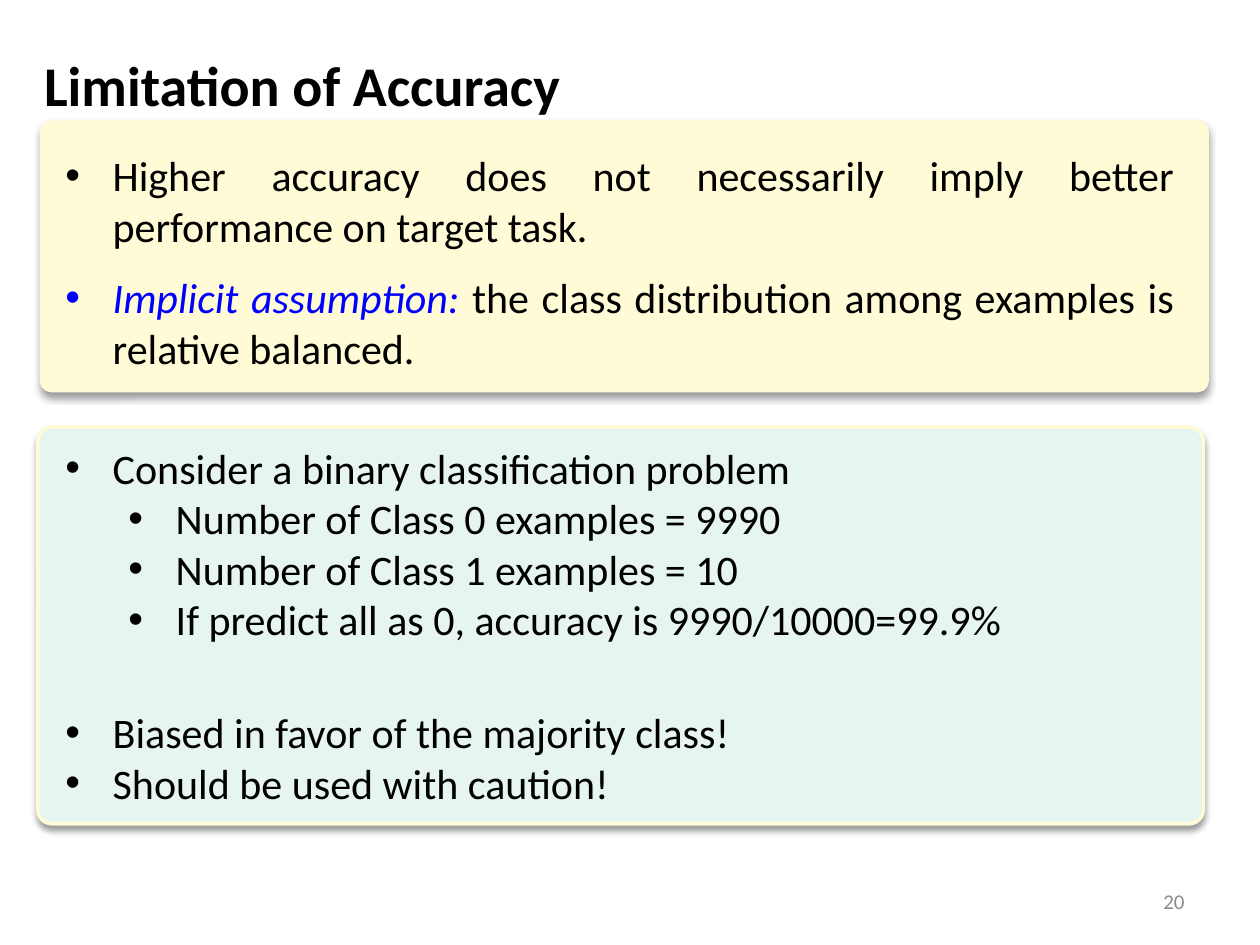
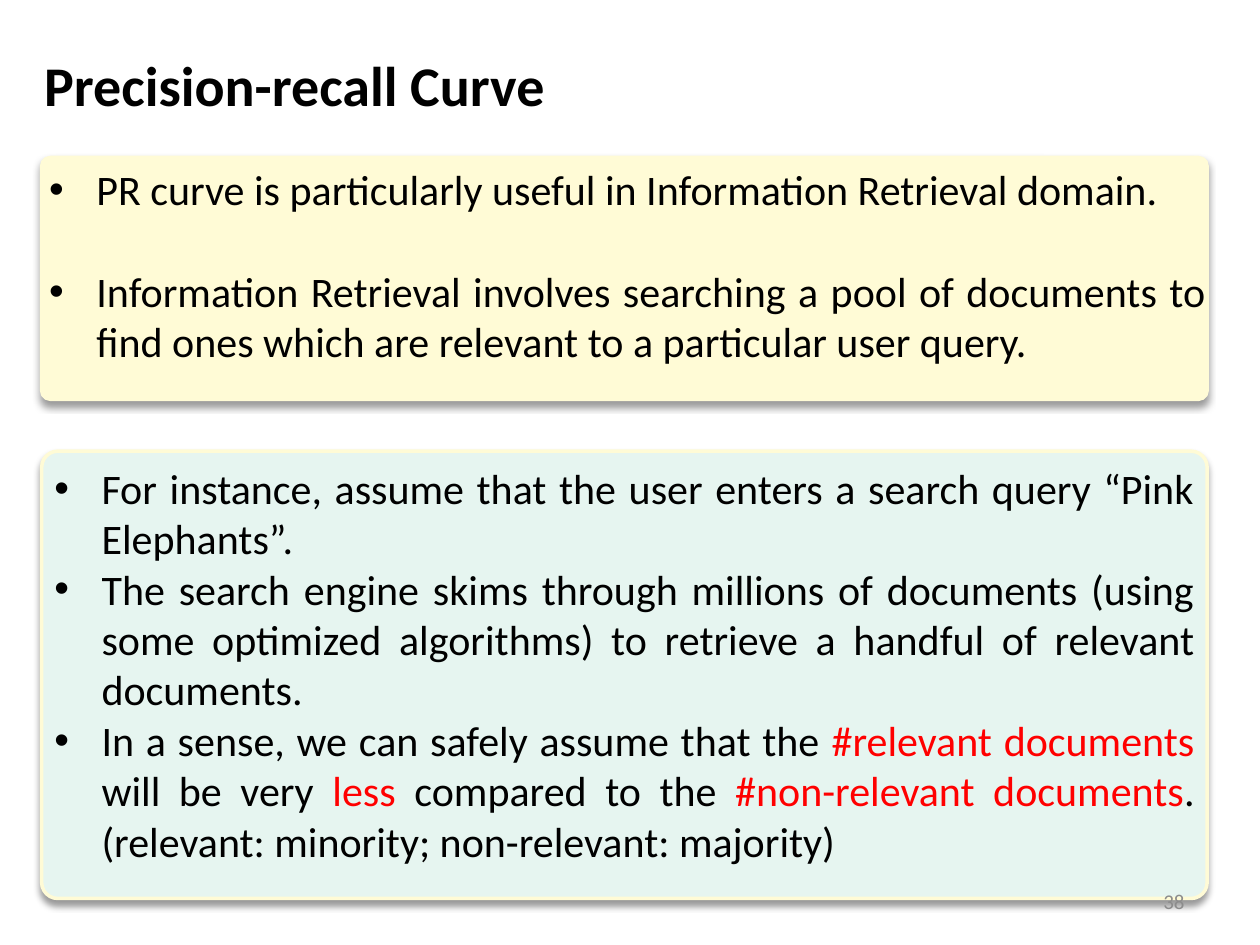
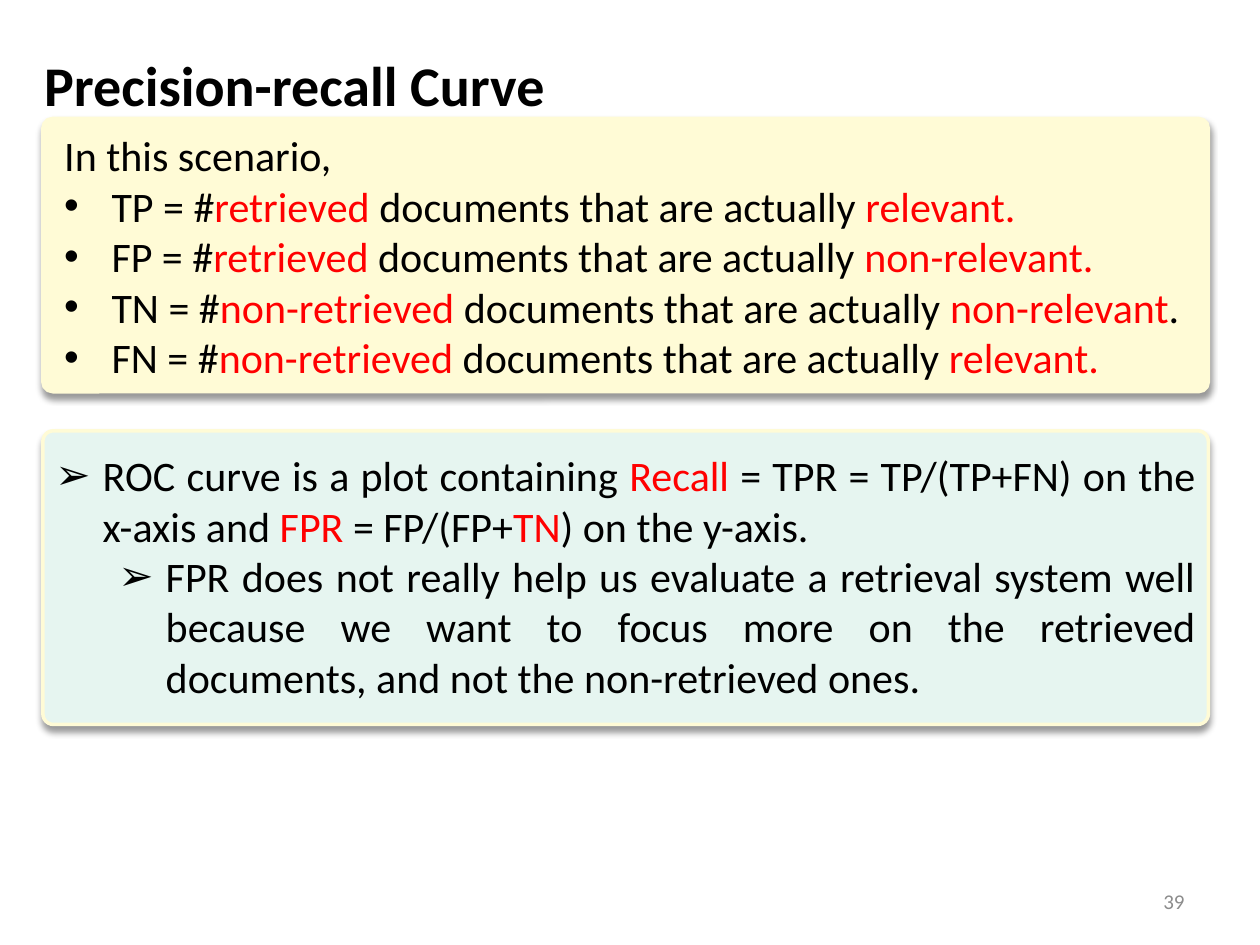
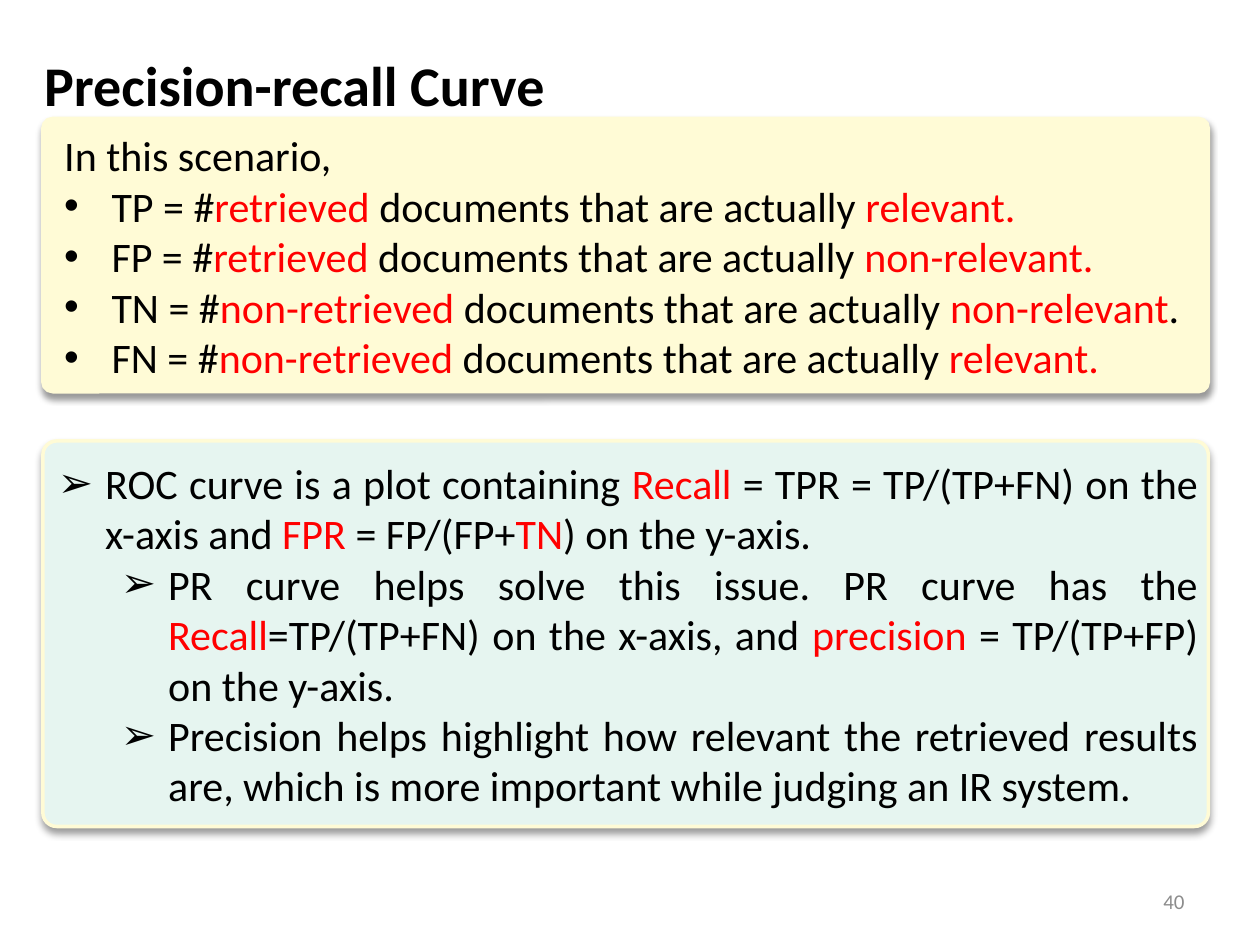
from lxml import etree
from pptx import Presentation
from pptx.dml.color import RGBColor
from pptx.enum.shapes import MSO_SHAPE
from pptx.enum.text import MSO_ANCHOR, MSO_AUTO_SIZE, PP_ALIGN
from pptx.oxml.ns import qn
from pptx.util import Pt

ROUNDED = MSO_SHAPE.ROUNDED_RECTANGLE
TOP, MIDDLE = MSO_ANCHOR.TOP, MSO_ANCHOR.MIDDLE
GROW = MSO_AUTO_SIZE.SHAPE_TO_FIT_TEXT
LEFT, RIGHT, JUSTIFY = PP_ALIGN.LEFT, PP_ALIGN.RIGHT, PP_ALIGN.JUSTIFY

FONT = "Calibri"
BLACK, GREY, RED, BLUE = "000000", "8C8C8C", "FF0000", "0000FF"
CREAM, MINT = "FFFBD6", "E6F5F0"
COMPARISON_LAYOUT = 4
PANEL_WIDTH = 666
HANG, LEVEL_STEP = 27, 36
BODY_LINE = 29.3
DOT, ARROW = "•", "➢"


def color(value):
    return RGBColor.from_string(value)


def red(text):
    return text, RED


def item(*runs, bullet=DOT, level=0, after=0):
    return runs, bullet, level, after


class Deck:
    """Holds the shared style and the current slide."""

    def __init__(self):
        self.prs = Presentation()
        self.prs.slide_width, self.prs.slide_height = Pt(720), Pt(540)

    def start(self, title, title_width):
        layout = self.prs.slide_layouts[COMPARISON_LAYOUT]
        self.slide = self.prs.slides.add_slide(layout)
        self.bodies = [holder for holder in self.slide.placeholders
                       if holder.placeholder_format.idx > 0]
        self.title(title, title_width)

    def place(self, shape, left, top, width, height):
        shape.left, shape.top = Pt(left), Pt(top)
        shape.width, shape.height = Pt(width), Pt(height)
        self.slide.shapes._spTree.append(shape._element)

    def run(self, paragraph, text, ink=BLACK, size=24, bold=False, italic=False):
        run = paragraph.add_run()
        run.text = text
        font = run.font
        font.name, font.size = FONT, Pt(size)
        font.bold, font.italic = bold, italic
        font.color.rgb = color(ink)

    def title(self, text, width):
        heading = self.slide.shapes.title
        self.place(heading, 18, 5.8, width, 59.8)
        frame = heading.text_frame
        frame.word_wrap, frame.auto_size = False, GROW
        frame.vertical_anchor = TOP
        paragraph = frame.paragraphs[0]
        paragraph.alignment, paragraph.line_spacing = LEFT, 1.5
        self.run(paragraph, text, size=32, bold=True)

    def number(self, number):
        footer = self.slide.shapes.add_textbox(
            Pt(516.2), Pt(500.4), Pt(167.8), Pt(28.8))
        frame = footer.text_frame
        frame.word_wrap, frame.vertical_anchor = True, MIDDLE
        frame.paragraphs[0].alignment = RIGHT
        self.run(frame.paragraphs[0], str(number), GREY, 12)

    def panel(self, left, top, height, fill):
        panel = self.slide.shapes.add_shape(
            ROUNDED, Pt(left), Pt(top), Pt(PANEL_WIDTH), Pt(height))
        panel.adjustments[0] = 0.036
        panel.fill.solid()
        panel.fill.fore_color.rgb = color(fill)
        panel.line.color.rgb = color(CREAM)
        panel.line.width = Pt(2)
        # Soft shadow straight below the panel
        panel.shadow.inherit = False
        effects = panel._element.spPr.find(qn("a:effectLst"))
        shadow = etree.SubElement(
            effects, qn("a:outerShdw"), blurRad=str(Pt(4)), dist=str(Pt(3)),
            dir="5400000", rotWithShape="0")
        ink = etree.SubElement(shadow, qn("a:srgbClr"), val=BLACK)
        etree.SubElement(ink, qn("a:alpha"), val="40000")

    def bullet(self, paragraph, mark, level):
        props = paragraph._p.get_or_add_pPr()
        hang = HANG if mark else 0
        props.set("marL", str(Pt(hang + level * LEVEL_STEP)))
        props.set("indent", str(Pt(-hang)))
        if mark:
            etree.SubElement(props, qn("a:buFont"), typeface="Arial")
            etree.SubElement(props, qn("a:buChar"), char=mark)
        else:
            etree.SubElement(props, qn("a:buNone"))

    def list(self, left, top, width, height, items, align=JUSTIFY, wrap=True):
        body = self.bodies.pop(0)
        self.place(body, left, top, width, height)
        frame = body.text_frame
        frame.word_wrap, frame.auto_size = wrap, GROW
        frame.vertical_anchor = TOP
        for index, (runs, mark, level, after) in enumerate(items):
            paragraph = frame.add_paragraph() if index else frame.paragraphs[0]
            self.bullet(paragraph, mark, level)
            paragraph.level, paragraph.alignment = level, align
            paragraph.line_spacing = 1.0
            paragraph.space_before, paragraph.space_after = Pt(0), Pt(after)
            for part in runs:
                text, ink = (part, BLACK) if isinstance(part, str) else part
                self.run(paragraph, text, ink, italic=ink == BLUE)

    def finish(self, number):
        for body in self.bodies:
            body._element.getparent().remove(body._element)
        # Last, so that the number stays in front of the panels
        self.number(number)


# Content shared by the last two slides
ROC_DEFINITION = item(
    "ROC curve is a plot containing ", red("Recall"),
    " = TPR = TP/(TP+FN) on the x-axis and ", red("FPR"),
    " = FP/(FP+", red("TN"), ") on the y-axis.", bullet=ARROW)


def scenario(deck):
    middle = " documents that are actually "
    deck.panel(24.5, 67.7, 156.2, CREAM)
    deck.list(29.5, 70.6, 666, 152.6, [
        item("In this scenario,", bullet=None),
        item("TP = #", red("retrieved"), middle, red("relevant.")),
        item("FP = #", red("retrieved"), middle, red("non-relevant.")),
        item("TN = #", red("non-retrieved"), middle, red("non-relevant"), "."),
        item("FN = #", red("non-retrieved"), middle, red("relevant.")),
    ])


def accuracy_slide(deck):
    deck.start("Limitation of Accuracy", 312.5)
    deck.panel(21.6, 244, 226.8, MINT)
    deck.panel(23.8, 69.8, 153.4, CREAM)
    deck.list(30.2, 82, 648, 135.4, [
        item("Higher accuracy does not necessarily imply better performance "
             "on target task.", after=12),
        item(("Implicit assumption: ", BLUE),
             "the class distribution among examples is relative balanced.",
             after=12),
    ])
    deck.list(30.2, 249.1, 553.7, 123.8, [
        item("Consider a binary classification problem"),
        item("Number of Class 0 examples = 9990", level=1),
        item("Number of Class 1 examples = 10", level=1),
        item("If predict all as 0, accuracy is 9990/10000=99.9%", level=1),
    ], LEFT, wrap=False)
    deck.list(30.2, 400.3, 397.4, 65.5, [
        item("Biased in favor of the majority class!"),
        item("Should be used with caution!"),
    ], LEFT, wrap=False)
    deck.finish(20)


def retrieval_slide(deck):
    deck.start("Precision-recall Curve", 303.1)
    deck.panel(23.8, 257.8, 255.6, MINT)
    deck.panel(23.8, 90, 138.2, CREAM)
    deck.list(20.9, 90, 675.4, 123.8, [
        item("PR curve is particularly useful in Information Retrieval domain.",
             after=BODY_LINE),
        item("Information Retrieval involves searching a pool of documents to "
             "find ones which are relevant to a particular user query."),
    ])
    deck.list(23.8, 260.6, 666, 239.8, [
        item("For instance, assume that the user enters a search query "
             "“Pink Elephants”."),
        item("The search engine skims through millions of documents (using "
             "some optimized algorithms) to retrieve a handful of relevant "
             "documents."),
        item("In a sense, we can safely assume that the ",
             red("#relevant documents "), "will be very ", red("less"),
             " compared to the ", red("#non-relevant documents"),
             ". (relevant: minority; non-relevant: majority)"),
    ])
    deck.finish(38)


def roc_slide(deck):
    deck.start("Precision-recall Curve", 303.1)
    scenario(deck)
    deck.panel(24.5, 246.2, 167.8, MINT)
    deck.list(24.5, 253.4, 666, 152.6, [
        ROC_DEFINITION,
        item("FPR does not really help us evaluate a retrieval system well "
             "because we want to focus more on the retrieved documents, and "
             "not the non-retrieved ones.", bullet=ARROW, level=1),
    ])
    deck.finish(39)


def precision_slide(deck):
    deck.start("Precision-recall Curve", 303.1)
    scenario(deck)
    deck.panel(24.5, 252, 220.3, MINT)
    deck.list(25.9, 257.8, 666, 211, [
        ROC_DEFINITION,
        item("PR curve helps solve this issue. PR curve has the ",
             red("Recall"), "=TP/(TP+FN) on the x-axis, and ",
             red("precision"), " = TP/(TP+FP) on the y-axis.",
             bullet=ARROW, level=1),
        item("Precision helps highlight how relevant the retrieved results "
             "are, which is more important while judging an IR system.",
             bullet=ARROW, level=1),
    ])
    deck.finish(40)


def main():
    deck = Deck()
    for build in (accuracy_slide, retrieval_slide, roc_slide, precision_slide):
        build(deck)
    deck.prs.save("out.pptx")


if __name__ == "__main__":
    main()
